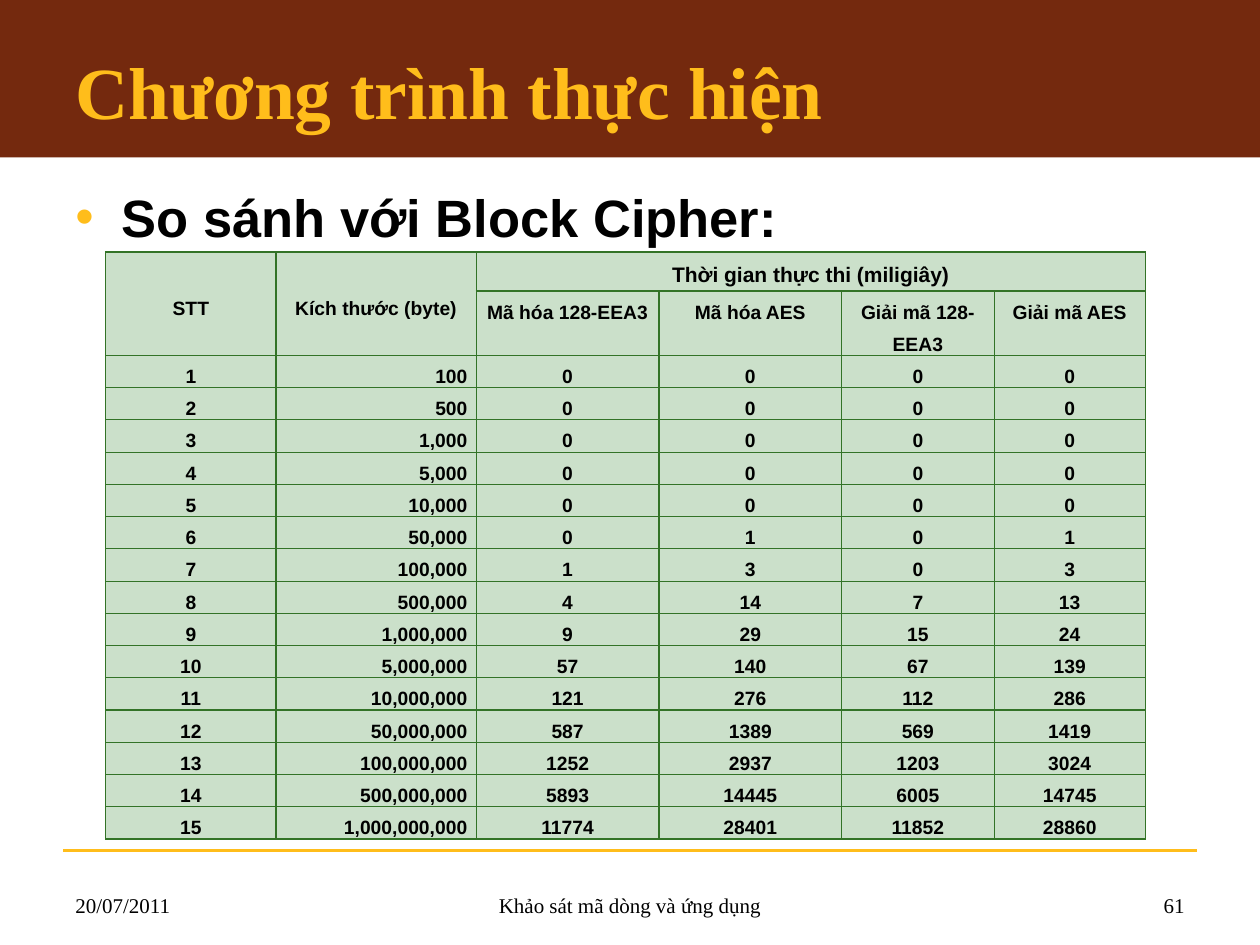
from lxml import etree
from pptx import Presentation
from pptx.dml.color import RGBColor
from pptx.enum import shapes, text
from pptx.oxml import ns
from pptx.util import Inches, Pt

WIDTH, HEIGHT = 10, 7.5
MARGIN, CONTENT = 0.05 * WIDTH, 0.9 * WIDTH
COLORS = {"band": "74290E", "gold": "FFBD1B", "ink": "000000",
          "cell": "CBE0CA", "border": "337327"}
SERIF, SANS = "Times New Roman", "Arial"
LEFT, CENTER, RIGHT = text.PP_ALIGN.LEFT, text.PP_ALIGN.CENTER, text.PP_ALIGN.RIGHT
TOP, MIDDLE, BOTTOM = (text.MSO_ANCHOR.TOP, text.MSO_ANCHOR.MIDDLE,
                       text.MSO_ANCHOR.BOTTOM)

COLUMN_WIDTHS = [1.35, 1.59, 1.45, 1.45, 1.21, 1.2]
HEADER_HEIGHTS = [0.31, 0.51]
LEADING = 1.67  # line pitch of the table as a share of the font size
SIZES = ["100", "500", "1,000", "5,000", "10,000", "50,000", "100,000",
         "500,000", "1,000,000", "5,000,000", "10,000,000", "50,000,000",
         "100,000,000", "500,000,000", "1,000,000,000"]
TIMINGS = [(0, 0, 0, 0)] * 5 + [
    (0, 1, 0, 1), (1, 3, 0, 3), (4, 14, 7, 13), (9, 29, 15, 24),
    (57, 140, 67, 139), (121, 276, 112, 286), (587, 1389, 569, 1419),
    (1252, 2937, 1203, 3024), (5893, 14445, 6005, 14745),
    (11774, 28401, 11852, 28860)]
GROUP_HEADER = ["STT", "Kích thước (byte)", "Thời gian thực thi (miligiây)"]
METHODS = ["Mã hóa 128-EEA3", "Mã hóa AES", "Giải mã 128-EEA3", "Giải mã AES"]


def color(name):
    return RGBColor.from_string(COLORS[name])


def add_xml(parent, tag, **attributes):
    return etree.SubElement(parent, ns.qn(tag), attributes)


def write(paragraph, words, size, font, ink="ink", bold=False, align=LEFT):
    paragraph.alignment = align
    run = paragraph.add_run()
    run.text = words
    run.font.size, run.font.name, run.font.bold = Pt(size), font, bold
    run.font.color.rgb = color(ink)


def add_text(slide, box, words, size, font, anchor=TOP, **style):
    frame = slide.shapes.add_textbox(*map(Inches, box)).text_frame
    frame.word_wrap = True
    frame.vertical_anchor = anchor
    write(frame.paragraphs[0], words, size, font, **style)
    return frame.paragraphs[0]


def add_header(slide, box):
    left, top, width, height = box
    band = slide.shapes.add_shape(shapes.MSO_SHAPE.RECTANGLE, *map(Inches, box))
    band.shadow.inherit = False
    band.fill.solid()
    band.fill.fore_color.rgb = color("band")
    band.line.fill.background()
    title_box = (left + MARGIN, top + 0.19 * height, CONTENT, 0.76 * height)
    add_text(slide, title_box, "Chương trình thực hiện", 42, SERIF,
             anchor=MIDDLE, ink="gold", bold=True)


def add_bullet(slide, box):
    topic = add_text(slide, box, "So sánh với Block Cipher:", 30, SANS, bold=True)
    topic.space_before = Pt(3)
    properties = topic._p.get_or_add_pPr()
    indent = Inches(0.37)
    properties.set("marL", str(indent))
    properties.set("indent", str(-indent))
    add_xml(add_xml(properties, "a:buClr"), "a:srgbClr", val=COLORS["gold"])
    add_xml(properties, "a:buFont", typeface=SANS)
    add_xml(properties, "a:buChar", char="•")


def style_cell(cell):
    cell.margin_left = cell.margin_right = Inches(0.07)
    cell.margin_top = cell.margin_bottom = 0
    properties = cell._tc.get_or_add_tcPr()
    for side in ("a:lnL", "a:lnR", "a:lnT", "a:lnB"):
        border = add_xml(properties, side, w=str(Pt(0.75)))
        add_xml(add_xml(border, "a:solidFill"), "a:srgbClr", val=COLORS["border"])
    cell.fill.solid()
    cell.fill.fore_color.rgb = color("cell")


def add_timings(slide, box):
    rows = [GROUP_HEADER, ["", ""] + METHODS]
    rows += [[number, size, *times] for number, (size, times)
             in enumerate(zip(SIZES, TIMINGS), start=1)]
    table = slide.shapes.add_table(len(rows), len(COLUMN_WIDTHS),
                                   *map(Inches, box)).table
    table.first_row = table.horz_banding = False

    # Columns and rows; the data rows share the height under the header
    for column, width in zip(table.columns, COLUMN_WIDTHS):
        column.width = Inches(width)
    data_height = (box[3] - sum(HEADER_HEIGHTS)) / len(SIZES)
    for row, height in zip(table.rows, HEADER_HEIGHTS + [data_height] * len(SIZES)):
        row.height = Inches(height)
    for cell in table.iter_cells():
        style_cell(cell)

    # Header spans
    for c in (0, 1):
        table.cell(0, c).merge(table.cell(1, c))
        table.cell(0, c).vertical_anchor = MIDDLE
    table.cell(0, 2).merge(table.cell(0, 5))

    # Wording
    for r, values in enumerate(rows):
        for c, value in enumerate(values):
            if value == "":
                continue
            size = 12 if (r, c) == (0, 2) else 11
            paragraph = table.cell(r, c).text_frame.paragraphs[0]
            paragraph.line_spacing = Pt(LEADING * size)
            write(paragraph, str(value), size, SANS, bold=True,
                  align=RIGHT if c == 1 and r > 1 else CENTER)


def add_footer(slide, box):
    left, top, width, height = box
    rule = slide.shapes.add_connector(
        shapes.MSO_CONNECTOR.STRAIGHT, *map(Inches, (left, top, left + width, top)))
    rule.line.color.rgb = color("gold")
    rule.line.width = Pt(1.5)
    add_xml(rule._element.spPr, "a:effectLst")

    side, middle, text_height = 2.33, 3.17, 0.5
    parts = [("20/07/2011", left, side, LEFT),
             ("Khảo sát mã dòng và ứng dụng", left + (width - middle) / 2, middle, CENTER),
             ("61", left + width - side, side, RIGHT)]
    for words, x, part_width, align in parts:
        add_text(slide, (x, top + height - text_height, part_width, text_height),
                 words, 12, SERIF, anchor=BOTTOM, align=align)


def main():
    deck = Presentation()
    deck.slide_width, deck.slide_height = Inches(WIDTH), Inches(HEIGHT)
    slide = deck.slides.add_slide(deck.slide_layouts[6])
    add_header(slide, (0, 0, WIDTH, HEIGHT / 6))
    add_footer(slide, (MARGIN, 0.9 * HEIGHT, CONTENT, 0.58))
    add_bullet(slide, (MARGIN, 1.42, CONTENT, 5.29))
    add_timings(slide, (0.84, 2, sum(COLUMN_WIDTHS), 4.66))
    deck.save("out.pptx")


if __name__ == "__main__":
    main()
